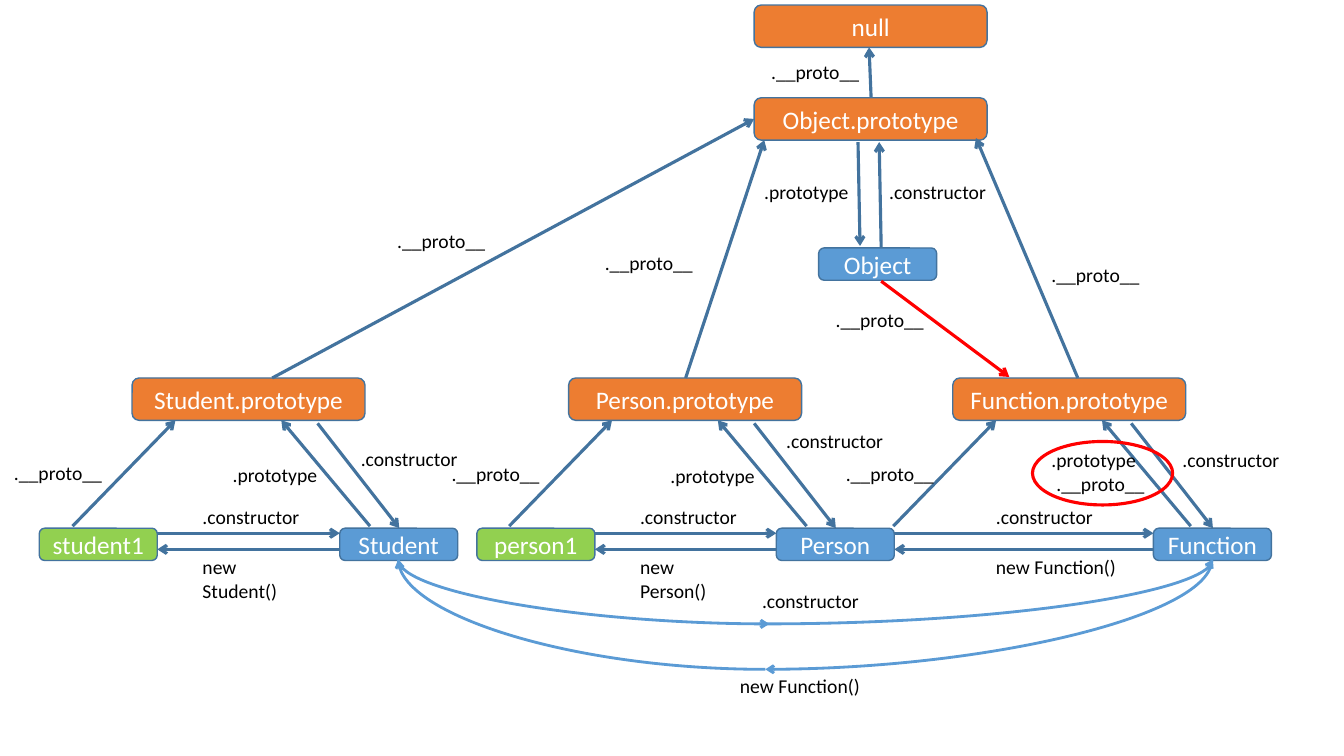
from pptx import Presentation
from pptx.dml.color import RGBColor
from pptx.enum.shapes import MSO_CONNECTOR, MSO_SHAPE
from pptx.enum.text import MSO_ANCHOR, MSO_AUTO_SIZE, PP_ALIGN
from pptx.oxml.ns import qn
from pptx.util import Inches, Pt
from lxml import etree

ORANGE = RGBColor(0xED, 0x7D, 0x31)
BLUE = RGBColor(0x5B, 0x9B, 0xD5)
GREEN = RGBColor(0x92, 0xD0, 0x50)
STEEL = RGBColor(0x43, 0x73, 0x9E)
RED = RGBColor(0xFF, 0x00, 0x00)
WHITE = RGBColor(0xFF, 0xFF, 0xFF)
BLACK = RGBColor(0x00, 0x00, 0x00)
STRAIGHT, CURVE = MSO_CONNECTOR.STRAIGHT, MSO_CONNECTOR.CURVE
ROUNDED, OVAL = MSO_SHAPE.ROUNDED_RECTANGLE, MSO_SHAPE.OVAL
MIDDLE, FIT_TEXT = MSO_ANCHOR.MIDDLE, MSO_AUTO_SIZE.SHAPE_TO_FIT_TEXT
LEFT, CENTER = PP_ALIGN.LEFT, PP_ALIGN.CENTER
PROTOTYPE_SIZE = (2.31, 0.42)
OBJECT_SIZE = (1.17, 0.32)
LABEL_WIDTHS = {
    ".__proto__": 1.08, ".prototype": 1.05, ".constructor": 1.17,
    "new Student()": 1.28, "new Person()": 1.2, "new Function()": 1.4,
}

prs = Presentation()
prs.slide_width, prs.slide_height = Inches(13.33), Inches(7.5)
slide = prs.slides.add_slide(prs.slide_layouts[6])


def add_text(text, x, y, size=None, fill=None):
    if fill is None:
        shape = slide.shapes.add_textbox(
            Inches(x), Inches(y), Inches(LABEL_WIDTHS[text]), Inches(0.34))
        shape.text_frame.auto_size = FIT_TEXT
        shape.text_frame.word_wrap = True
    else:
        shape = slide.shapes.add_shape(
            ROUNDED, Inches(x), Inches(y), *map(Inches, size))
        shape.shadow.inherit = False
        shape.fill.solid()
        shape.fill.fore_color.rgb = fill
        shape.line.color.rgb = STEEL
        shape.line.width = Pt(1)
        shape.text_frame.vertical_anchor = MIDDLE
    paragraph = shape.text_frame.paragraphs[0]
    paragraph.alignment = CENTER if fill else LEFT
    run = paragraph.add_run()
    run.text = text
    run.font.name = "Calibri"
    run.font.size = Pt(18 if fill else 14)
    run.font.color.rgb = WHITE if fill else BLACK


def add_arrow(x1, y1, x2, y2, color=STEEL, width=2.25, kind=STRAIGHT):
    arrow = slide.shapes.add_connector(kind, *map(Inches, (x1, y1, x2, y2)))
    arrow.line.color.rgb = color
    arrow.line.width = Pt(width)
    properties = arrow.line._get_or_add_ln()
    etree.SubElement(properties, qn("a:tailEnd"), type="arrow")
    etree.SubElement(arrow._element.spPr, qn("a:effectLst"))
    return arrow


classes = [
    ("Student", 1.31, 3.37, 1.56, 1.91),
    ("Person", 5.64, 7.7, 5.9, 6.25),
    ("Function", 9.45, 11.44, 8.87, 9.78),
]
for name, prototype_x, class_x, instance_right, call_x in classes:
    add_text(f"{name}.prototype", prototype_x, 3.75, PROTOTYPE_SIZE, ORANGE)
    add_text(name, class_x, 5.24, OBJECT_SIZE, BLUE)
    add_arrow(class_x, 5.45, instance_right, 5.45)
    add_arrow(instance_right, 5.29, class_x, 5.29)
    add_text(f"new {name}()", call_x, 5.46)
    add_text(".constructor", call_x, 4.96)
    add_arrow(prototype_x - 0.59, 5.22, prototype_x + 0.43, 4.17)
    add_arrow(prototype_x + 2.36, 5.22, prototype_x + 1.48, 4.17)
    add_arrow(class_x - 0.22, 4.2, class_x + 0.59, 5.24)

for name, x in [("student1", 0.39), ("person1", 4.73)]:
    add_text(name, x, 5.24, OBJECT_SIZE, GREEN)

add_text("null", 7.48, 0.05, PROTOTYPE_SIZE, ORANGE)
add_text("Object.prototype", 7.48, 0.97, PROTOTYPE_SIZE, ORANGE)
add_text("Object", 8.12, 2.46, OBJECT_SIZE, BLUE)

for ends in [
    (8.64, 0.97, 8.62, 0.47),
    (2.7, 3.75, 7.48, 1.18),
    (6.8, 3.75, 7.58, 1.39),
    (10.69, 3.75, 9.68, 1.37),
    (8.74, 2.46, 8.72, 1.41),
    (8.51, 1.41, 8.53, 2.44),
]:
    add_arrow(*ends)
add_arrow(8.74, 2.79, 10.01, 3.74, color=RED)

for *ends, rotation in [
    (5.47, 7.71, 6.11, 4.03, 90),
    (7.59, 6.19, 12.03, 5.55, 0),
    (9.26, 3.88, 10.35, 8.31, 90),
    (3.95, 5.55, 7.59, 6.64, 180),
]:
    arc = add_arrow(*ends, color=BLUE, width=2, kind=CURVE)
    arc._element.spPr.find(qn("a:prstGeom")).set("prst", "curvedConnector2")
    arc._element.spPr.find(qn("a:xfrm")).set("rot", str(rotation * 60000))

label_places = {
    ".__proto__": [
        (7.55, 0.55), (3.84, 2.22), (5.9, 2.44), (10.33, 2.56), (8.19, 3.01),
        (0.04, 4.52), (4.38, 4.53), (8.29, 4.53), (10.38, 4.63)],
    ".prototype": [(7.48, 1.74), (2.21, 4.54), (6.55, 4.55), (10.33, 4.39)],
    ".constructor": [
        (8.72, 1.74), (3.48, 4.38), (7.7, 4.21), (11.63, 4.39), (7.46, 5.79)],
    "new Function()": [(7.24, 6.64)],
}
for label, places in label_places.items():
    for x, y in places:
        add_text(label, x, y)

highlight = slide.shapes.add_shape(
    OVAL, Inches(10.24), Inches(4.38), Inches(1.39), Inches(0.63))
highlight.shadow.inherit = False
highlight.fill.background()
highlight.line.color.rgb = RED
highlight.line.width = Pt(2.25)

prs.save("out.pptx")
